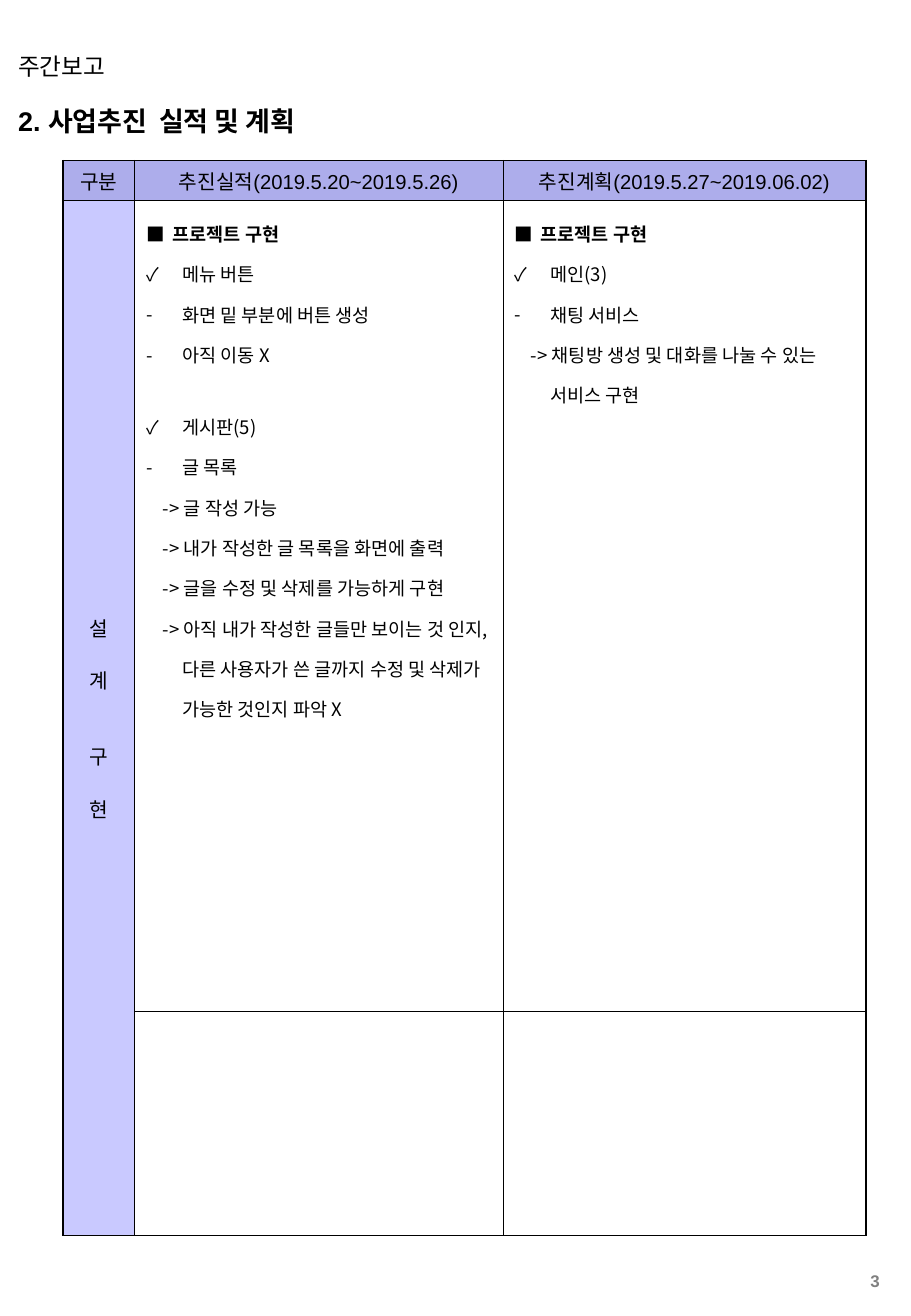
import lxml.etree
import pptx
import pptx.dml.color
import pptx.enum.text
import pptx.oxml.ns
import pptx.util

COLORS = {"ink": "000000", "page": "808080", "header": "ADADEB", "stage": "C9C9FF"}
ALIGN = pptx.enum.text.PP_ALIGN
ANCHOR = pptx.enum.text.MSO_ANCHOR


def color(name):
    return pptx.dml.color.RGBColor.from_string(COLORS[name])


def add_xml(parent, tag, **attributes):
    return lxml.etree.SubElement(parent, pptx.oxml.ns.qn(tag), attributes)


class ReportPage:
    """Holds the style and the slide; lengths are percentages of the slide's size."""

    latin, korean = "Arial", "Noto Sans CJK KR"
    thin, thick = 0.45, 1.08

    def __init__(self, deck):
        self.width, self.height = deck.slide_width, deck.slide_height
        self.slide = deck.slides.add_slide(deck.slide_layouts[6])

    def x(self, share):
        return round(self.width * share / 100)

    def y(self, share):
        return round(self.height * share / 100)

    def run(self, paragraph, words, size, bold=False, ink="ink", font=None):
        run = paragraph.add_run()
        run.text = words
        run.font.size = pptx.util.Pt(size)
        run.font.bold = bold
        run.font.name = font or self.latin
        run.font.color.rgb = color(ink)
        add_xml(run.font._element, "a:ea", typeface=self.korean)

    def text(self, box, words, size, align=ALIGN.LEFT, **style):
        left, top, width, height = box
        frame = self.slide.shapes.add_textbox(
            self.x(left), self.y(top), self.x(width), self.y(height)).text_frame
        frame.word_wrap = True
        frame.paragraphs[0].alignment = align
        self.run(frame.paragraphs[0], words, size, **style)

    def table(self, left, top, columns, rows):
        table = self.slide.shapes.add_table(
            len(rows), len(columns), self.x(left), self.y(top),
            self.x(sum(columns)), self.y(sum(rows))).table
        table.first_row = table.horz_banding = False
        for column, share in zip(table.columns, columns):
            column.width = self.x(share)
        for row, share in zip(table.rows, rows):
            row.height = self.y(share)
        for row in table.rows:
            for number, cell in enumerate(row.cells):
                self.borders(cell, number == 0, number == len(columns) - 1)
                cell.fill.background()
        return table

    def borders(self, cell, first, last):
        properties = cell._tc.get_or_add_tcPr()
        for side in "LRTB":
            outer = (side == "L" and first) or (side == "R" and last)
            points = self.thick if outer else self.thin
            line = add_xml(properties, "a:ln" + side, w=str(pptx.util.Pt(points)))
            add_xml(add_xml(line, "a:solidFill"), "a:srgbClr", val=COLORS["ink"])

    def label(self, cell, lines, fill):
        """Centred lines, each a pair of words and the space before them."""
        cell.fill.solid()
        cell.fill.fore_color.rgb = color(fill)
        cell.vertical_anchor = ANCHOR.MIDDLE
        for number, (words, gap) in enumerate(lines):
            frame = cell.text_frame
            paragraph = frame.add_paragraph() if number else frame.paragraphs[0]
            paragraph.alignment = ALIGN.CENTER
            paragraph.space_before = pptx.util.Pt(gap)
            self.run(paragraph, words, 12)

    def tasks(self, cell, items):
        """Outline of tasks; each item's level is named by its mark."""
        for number, (mark, words) in enumerate(items):
            frame = cell.text_frame
            paragraph = frame.add_paragraph() if number else frame.paragraphs[0]
            paragraph.line_spacing = 1.5
            if mark == "✓" and number > 1:
                paragraph.space_before = pptx.util.Pt(18.8)
            margin, hanging = {"■": (0.21, 0.21), "->": (0.29, 0.16)}.get(mark, (0.29, 0.29))
            properties = paragraph._p.get_or_add_pPr()
            properties.set("marL", str(pptx.util.Inches(margin)))
            properties.set("indent", str(-pptx.util.Inches(hanging)))
            if mark == "->":
                add_xml(properties, "a:buNone")
                words = f"{mark} {words}"
            else:
                add_xml(add_xml(properties, "a:buClr"), "a:srgbClr", val=COLORS["ink"])
                add_xml(properties, "a:buFont", typeface=self.korean)
                add_xml(properties, "a:buChar", char=mark)
            self.run(paragraph, words, 11, bold=mark == "■", font=self.korean)


HEADINGS = ["구분", "추진실적(2019.5.20~2019.5.26)", "추진계획(2019.5.27~2019.06.02)"]
STAGES = [("설", 0), ("계", 13.8), ("구", 27.6), ("현", 13.8)]
RESULTS = [
    ("■", "프로젝트 구현"),
    ("✓", "메뉴 버튼"),
    ("-", "화면 밑 부분에 버튼 생성"),
    ("-", "아직 이동 X"),
    ("✓", "게시판(5)"),
    ("-", "글 목록"),
    ("->", "글 작성 가능"),
    ("->", "내가 작성한 글 목록을 화면에 출력"),
    ("->", "글을 수정 및 삭제를 가능하게 구현"),
    ("->", "아직 내가 작성한 글들만 보이는 것 인지, 다른 사용자가 쓴 글까지 수정 및 "
           "삭제가 가능한 것인지 파악 X"),
]
PLANS = [
    ("■", "프로젝트 구현"),
    ("✓", "메인(3)"),
    ("-", "채팅 서비스"),
    ("->", "채팅방 생성 및 대화를 나눌 수 있는 서비스 구현"),
]


def main():
    deck = pptx.Presentation()
    deck.slide_width = pptx.util.Inches(7.5)
    deck.slide_height = pptx.util.Inches(10.84)
    page = ReportPage(deck)

    # Page number and report name
    page.text((90.4, 96.13, 7.47, 2.21), "3", 10, ALIGN.RIGHT, bold=True, ink="page")
    page.text((0.67, 3.5, 79.33, 3.14), "주간보고", 14)

    # Results and plans
    schedule = page.table(6.93, 12.18, [7.87, 40.4, 39.87], [3.04, 61.62, 17.07])
    for column, heading in enumerate(HEADINGS):
        page.label(schedule.cell(0, column), [(heading, 0)], "header")
    schedule.cell(1, 0).merge(schedule.cell(2, 0))
    page.label(schedule.cell(1, 0), STAGES, "stage")
    page.tasks(schedule.cell(1, 1), RESULTS)
    page.tasks(schedule.cell(1, 2), PLANS)

    # Section title
    page.text((0.67, 7.47, 71.47, 3.41), "2. 사업추진  실적 및 계획", 16, bold=True)

    deck.save("out.pptx")


if __name__ == "__main__":
    main()
